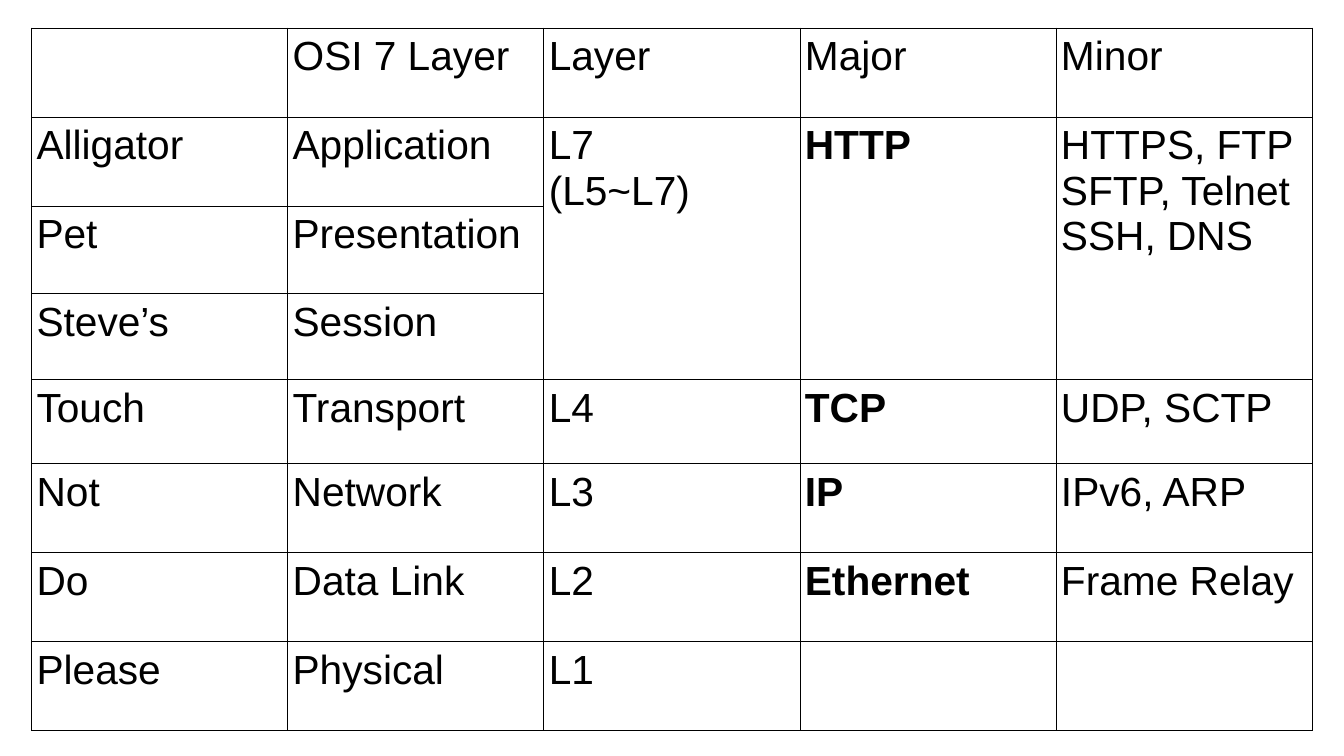
from dataclasses import dataclass

from lxml.etree import SubElement
from pptx import Presentation
from pptx.dml.color import RGBColor
from pptx.oxml.ns import qn
from pptx.table import _Cell
from pptx.util import Inches, Pt

BLACK = "000000"
MAJOR_COLUMN = 3
COLUMN_WIDTH = 2.1
ROW_HEIGHTS = [0.73, 0.73, 0.72, 0.7, 0.69, 0.73, 0.73, 0.73]


@dataclass
class LayerRow:
    mnemonic: str
    name: str
    level: str = ""
    major: str = ""
    minor: str = ""

    def texts(self) -> list[str]:
        return [self.mnemonic, self.name, self.level, self.major, self.minor]


ROWS = [
    LayerRow("", "OSI 7 Layer", "Layer", "Major", "Minor"),
    LayerRow("Alligator", "Application", "L7\v(L5~L7)", "HTTP",
             "HTTPS, FTP\nSFTP, Telnet\nSSH, DNS"),
    LayerRow("Pet", "Presentation"),
    LayerRow("Steve’s", "Session"),
    LayerRow("Touch", "Transport", "L4", "TCP", "UDP, SCTP"),
    LayerRow("Not", "Network", "L3", "IP", "IPv6, ARP"),
    LayerRow("Do", "Data Link", "L2", "Ethernet", "Frame Relay"),
    LayerRow("Please", "Physical", "L1"),
]


def rgb(color: str) -> RGBColor:
    return RGBColor.from_string(color)


def add_borders(cell: _Cell, color: str, width: float) -> None:
    """Line all four sides; call before the fill, which must come after the lines."""
    tcPr = cell._tc.get_or_add_tcPr()
    for side in ("lnL", "lnR", "lnT", "lnB"):
        line = SubElement(tcPr, qn(f"a:{side}"), w=str(int(Pt(width))))
        fill = SubElement(line, qn("a:solidFill"))
        SubElement(fill, qn("a:srgbClr"), val=color)


def format_cell(cell: _Cell) -> None:
    cell.margin_left = cell.margin_right = Inches(0.04)
    cell.margin_top = cell.margin_bottom = Inches(0.05)
    add_borders(cell, BLACK, 0.57)
    cell.fill.background()


def write_cell(cell: _Cell, text: str, bold: bool) -> None:
    tf = cell.text_frame
    tf.text = text
    for p in tf.paragraphs:
        for r in p.runs:
            r.font.name = "Arial"
            r.font.size = Pt(24)
            r.font.bold = bold
            r.font.color.rgb = rgb(BLACK)


def main() -> None:
    prs = Presentation()
    prs.slide_width, prs.slide_height = Inches(11.02), Inches(6.2)
    s = prs.slides.add_slide(prs.slide_layouts[6])

    columns = len(ROWS[0].texts())
    table = s.shapes.add_table(
        len(ROWS), columns, Inches(0.26), Inches(0.23),
        Inches(columns * COLUMN_WIDTH), Inches(sum(ROW_HEIGHTS))).table
    table.first_row = table.horz_banding = False
    for column in table.columns:
        column.width = Inches(COLUMN_WIDTH)
    for row, height in zip(table.rows, ROW_HEIGHTS):
        row.height = Inches(height)

    for i, layer in enumerate(ROWS):
        for j, text in enumerate(layer.texts()):
            cell = table.cell(i, j)
            format_cell(cell)
            if text:
                write_cell(cell, text, bold=i > 0 and j == MAJOR_COLUMN)

    for j in range(2, columns):
        table.cell(1, j).merge(table.cell(3, j))

    prs.save("out.pptx")


if __name__ == "__main__":
    main()
